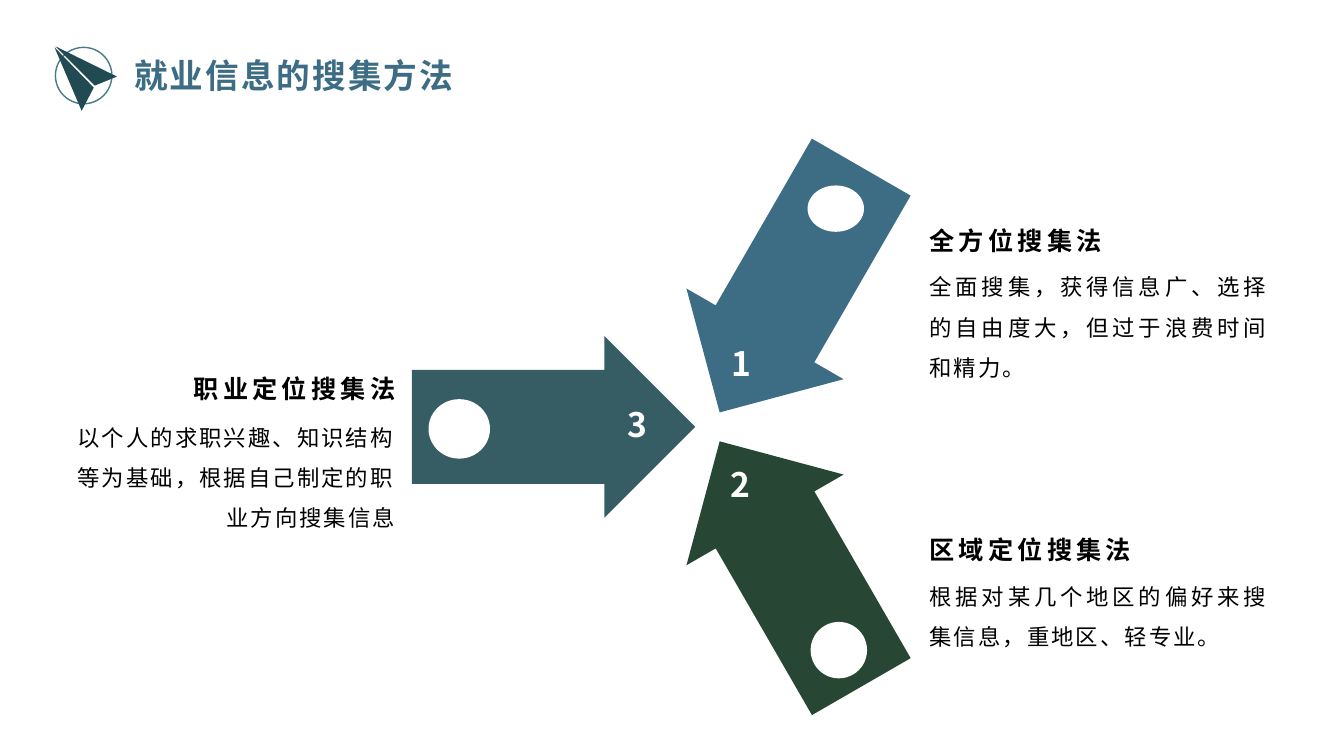
"""Build a slide on three ways of collecting job information."""
from dataclasses import dataclass
from typing import Any

import pptx
import pptx.dml.color
import pptx.enum.shapes
import pptx.enum.text
import pptx.oxml
import pptx.oxml.ns
import pptx.util

Inches = pptx.util.Inches
Pt = pptx.util.Pt
RGBColor = pptx.dml.color.RGBColor
Shapes = pptx.enum.shapes.MSO_SHAPE
Align = pptx.enum.text.PP_ALIGN
Anchor = pptx.enum.text.MSO_ANCHOR
Box = tuple[float, float, float, float]

FONT = "Noto Sans CJK SC"
BLACK = RGBColor(0x00, 0x00, 0x00)
WHITE = RGBColor(0xFF, 0xFF, 0xFF)
BLUE = RGBColor(0x3D, 0x6D, 0x84)
GREEN = RGBColor(0x28, 0x46, 0x34)
TEAL = RGBColor(0x36, 0x5D, 0x64)
RING = RGBColor(0x46, 0x7A, 0x8C)
PLANE = RGBColor(0x22, 0x4A, 0x52)

ARROW_WIDTH, ARROW_LENGTH = 1.8, 2.81
PLANE_WINGS = [
    [(116, 76), (94, 85), (55, 46)],
    [(93, 87), (81, 110), (54, 47)],
]


@dataclass(frozen=True)
class TextStyle:
    font: dict[str, Any]
    paragraph: dict[str, Any]
    frame: dict[str, Any]
    spacing: float = 0


@dataclass(frozen=True)
class Method:
    number: str
    heading: str
    detail: str
    color: RGBColor
    arrow_corner: tuple[float, float]
    rotation: int
    icon: Box
    number_corner: tuple[float, float]
    heading_box: Box
    detail_box: Box
    heading_align: Align
    detail_align: Align


TITLE_STYLE = TextStyle(
    {"size": Pt(24), "bold": True},
    {"alignment": Align.LEFT},
    {"vertical_anchor": Anchor.TOP, "auto_size": pptx.enum.text.MSO_AUTO_SIZE.NONE},
    1.5,
)
NUMBER_STYLE = TextStyle(
    {"size": Pt(24), "bold": True}, {"line_spacing": 1.3}, {"word_wrap": False}
)
HEADING_STYLE = TextStyle(
    {"size": Pt(18), "bold": True},
    {"line_spacing": 1.2},
    {"word_wrap": True, "vertical_anchor": Anchor.BOTTOM, "margin_bottom": 0},
    3,
)
DETAIL_STYLE = TextStyle(
    {"size": Pt(16)}, {"line_spacing": 1.5}, {"word_wrap": True, "margin_top": 0}, 1.5
)

METHODS = [
    Method("1", "全方位搜集法", "全面搜集，获得信息广、选择的自由度大，但过于浪费时间和精力。",
           BLUE, (6.94, 1.47), 30, (8.01, 1.84, 0.56, 0.46), (7.16, 3.23),
           (9.12, 2.07, 3.15, 0.47), (9.12, 2.58, 3.56, 0.96), Align.LEFT, Align.JUSTIFY),
    Method("2", "区域定位搜集法", "根据对某几个地区的偏好来搜集信息，重地区、轻专业。",
           GREEN, (6.94, 4.19), 150, (8.04, 6.17, 0.56, 0.56), (7.15, 4.43),
           (9.12, 5.13, 3.15, 0.47), (9.12, 5.65, 3.56, 0.96), Align.LEFT, Align.JUSTIFY),
    Method("3", "职业定位搜集法", "以个人的求职兴趣、知识结构等为基础，根据自己制定的职业方向搜集信息",
           TEAL, (4.59, 2.83), 270, (4.25, 3.96, 0.61, 0.59), (6.13, 3.84),
           (0.88, 3.49, 3.14, 0.51), (0.58, 4.07, 3.44, 0.96), Align.RIGHT, Align.RIGHT),
]


def apply(target: Any, values: dict[str, Any]) -> None:
    """Set each named attribute on the target."""
    for name, value in values.items():
        setattr(target, name, value)


def write(box: Any, text: str, style: TextStyle, color: RGBColor,
          align: Align | None = None) -> None:
    """Put one formatted paragraph into a box."""
    apply(box.text_frame, style.frame)
    para = box.text_frame.paragraphs[0]
    apply(para, style.paragraph)
    if align is not None:
        para.alignment = align
    span = para.add_run()
    span.text = text
    apply(span.font, {"name": FONT, **style.font})
    span.font.color.rgb = color
    properties = span._r.get_or_add_rPr()
    properties.set("spc", str(int(style.spacing * 100)))
    east_asian = pptx.oxml.parse_xml(
        f'<a:ea {pptx.oxml.ns.nsdecls("a")} typeface="{FONT}"/>'
    )
    properties.find(pptx.oxml.ns.qn("a:latin")).addnext(east_asian)


def add_text(page: Any, at: Box, text: str, style: TextStyle, color: RGBColor,
             align: Align = Align.LEFT) -> None:
    """Add a text box with one paragraph."""
    box = page.shapes.add_textbox(*map(Inches, at))
    write(box, text, style, color, align)


def paint(shape: Any, color: RGBColor) -> None:
    """Fill a shape plainly, with no outline or shadow."""
    shape.shadow.inherit = False
    shape.fill.solid()
    shape.fill.fore_color.rgb = color
    shape.line.fill.background()


def add_plane(page: Any) -> None:
    """Draw the paper plane in its ring beside the title."""
    group = page.shapes.add_group_shape()
    ring = group.shapes.add_shape(Shapes.OVAL, *map(Inches, (0.55, 0.47, 0.56, 0.56)))
    ring.shadow.inherit = False
    ring.fill.background()
    ring.line.color.rgb = RING
    ring.line.width = Pt(1)
    first, second = PLANE_WINGS
    builder = group.shapes.build_freeform(*first[0], scale=Inches(0.01))
    builder.add_line_segments(first[1:], close=True)
    builder.move_to(*second[0])
    builder.add_line_segments(second[1:], close=True)
    paint(builder.convert_to_shape(), PLANE)


def add_method(page: Any, method: Method) -> None:
    """Draw one arrow with its icon, number, heading and detail."""
    arrow = page.shapes.add_shape(
        Shapes.DOWN_ARROW, *map(Inches, (*method.arrow_corner, ARROW_WIDTH, ARROW_LENGTH))
    )
    arrow.adjustments[0] = 0.628
    arrow.adjustments[1] = 0.5
    arrow.rotation = method.rotation
    paint(arrow, method.color)
    paint(page.shapes.add_shape(Shapes.OVAL, *map(Inches, method.icon)), WHITE)
    add_text(page, (*method.number_corner, 0.45, 0.64), method.number, NUMBER_STYLE, WHITE)
    add_text(page, method.heading_box, method.heading, HEADING_STYLE, BLACK,
             method.heading_align)
    add_text(page, method.detail_box, method.detail, DETAIL_STYLE, BLACK,
             method.detail_align)


def main() -> None:
    """Build and save the deck."""
    deck = pptx.Presentation()
    deck.slide_width, deck.slide_height = Inches(13.33), Inches(7.5)
    page = deck.slides.add_slide(deck.slide_layouts[5])
    title = page.shapes.title
    apply(title, {"left": Inches(1.23), "top": Inches(0.49),
                  "width": Inches(6.67), "height": Inches(0.5)})
    write(title, "就业信息的搜集方法", TITLE_STYLE, BLUE)
    add_plane(page)
    for method in METHODS:
        add_method(page, method)
    deck.save("out.pptx")


if __name__ == "__main__":
    main()
